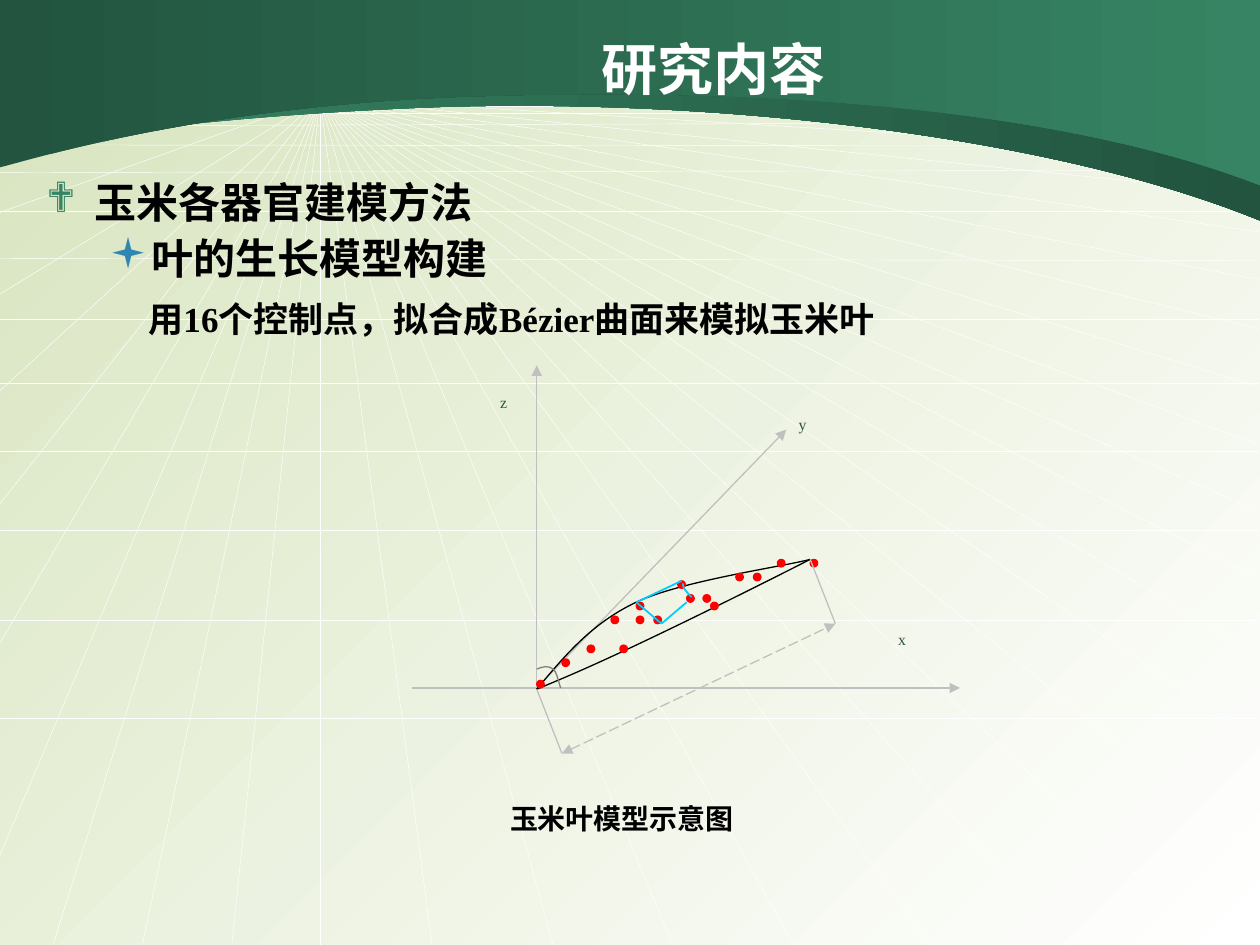
from lxml import etree
from pptx import Presentation
from pptx.dml.color import RGBColor
from pptx.enum.dml import MSO_LINE
from pptx.enum.shapes import MSO_CONNECTOR, MSO_SHAPE
from pptx.enum.text import MSO_ANCHOR, PP_ALIGN
from pptx.oxml.ns import qn
from pptx.util import Inches, Pt

SERIF = "Times New Roman"
DARK_GREEN, GREEN, GREY, RED, CYAN = "22543F", "368463", "C0C0C0", "FF0000", "00CCFF"


def rgb(color):
    return RGBColor.from_string(color)


def fill_gradient(fill, start, end, angle=0):
    fill.gradient()
    fill.gradient_angle = angle
    for stop, color in zip(fill.gradient_stops, (start, end)):
        stop.color.rgb = rgb(color)


def add_line(slide, start, end, color, width=0.75, arrows=(), dash=None):
    """Arrows names the ends that carry a triangle: headEnd, tailEnd."""
    line = slide.shapes.add_connector(
        MSO_CONNECTOR.STRAIGHT, *(Inches(value) for value in (*start, *end)))
    line.line.color.rgb = rgb(color)
    line.line.width = Pt(width)
    if dash:
        line.line.dash_style = dash
    properties = line._element.spPr
    for arrow in arrows:
        etree.SubElement(properties.find(qn("a:ln")), qn(f"a:{arrow}"), type="triangle")
    etree.SubElement(properties, qn("a:effectLst"))


def add_outline(slide, curve, before=(), after=(), closed=False):
    """Draw a chain of cubic curves, with straight sides before and after it."""
    corners = [(Inches(x), Inches(y)) for x, y in (*before, *curve, *after)]
    builder = slide.shapes.build_freeform(*corners[0])
    builder.add_line_segments(corners[1:], close=closed)
    outline = builder.convert_to_shape()
    outline.shadow.inherit = False
    sides = list(outline._element.iter(qn("a:lnTo")))
    bent = sides[len(before):len(before) + len(curve) - 1]
    for first in range(0, len(bent), 3):
        cubic = etree.Element(qn("a:cubicBezTo"))
        bent[first].addprevious(cubic)
        for side in bent[first:first + 3]:
            cubic.append(side[0])
            side.getparent().remove(side)
    return outline


def add_curve(slide, points, color, width=0.75):
    curve = add_outline(slide, points)
    curve.fill.background()
    curve.line.color.rgb = rgb(color)
    curve.line.width = Pt(width)


def add_frame(slide, left, top, width, height, inset=(0.1, 0.05)):
    frame = slide.shapes.add_textbox(*map(Inches, (left, top, width, height))).text_frame
    frame.word_wrap = True
    frame.margin_left = frame.margin_right = Inches(inset[0])
    frame.margin_top = frame.margin_bottom = Inches(inset[1])
    return frame


def write(paragraph, text, size, color="000000", font=SERIF, bold=True):
    run = paragraph.add_run()
    run.text = text
    formats = {"size": Pt(size), "name": font, "bold": bold}
    for name, value in formats.items():
        setattr(run.font, name, value)
    run.font.color.rgb = rgb(color)


def set_bullet(paragraph, indent, hanging, mark=None, color=None):
    properties = paragraph._p.get_or_add_pPr()
    properties.set("marL", str(Inches(indent)))
    properties.set("indent", str(-Inches(hanging)))
    if mark:
        tint = etree.SubElement(properties, qn("a:buClr"))
        etree.SubElement(tint, qn("a:srgbClr"), val=color)
        etree.SubElement(properties, qn("a:buFont"), typeface="Wingdings", charset="2")
        etree.SubElement(properties, qn("a:buChar"), char=mark)
    else:
        etree.SubElement(properties, qn("a:buNone"))


def draw_rays(slide, left, top, right, bottom):
    """Perspective floor: rays from one vanishing point, crossed by level lines."""
    vanishing = (left + 2.55, top + 0.78)
    right_ends = (1, 1.23, 1.54, 1.84, 2.22, 2.61, 3.07, 3.53, 4.06, 4.59, 5.2, 5.89, 6.8)
    bottom_ends = (0.43, 1.14, 1.85, 2.55, 3.44, 4.4, 5.35, 6.31, 7.39, 8.47, 9.61)
    left_ends = (0.78, 0.97, 1.16, 1.69, 2.34, 3.11, 4.01, 5.12, 6.81)
    ends = [(right, top + y) for y in right_ends]
    ends += [(left + x, bottom) for x in bottom_ends]
    ends += [(left, top + y) for y in left_ends]
    for end in ends:
        add_line(slide, vanishing, end, "FFFFFF", 0.25)
    levels = ((0.84, 0.84), (0.9, 0.9), (1, 0.97), (1.15, 1.16), (1.37, 1.35), (1.68, 1.68),
              (2.05, 2.07), (2.53, 2.53), (3.04, 3.04), (3.58, 3.58), (4.21, 4.21),
              (4.92, 4.92), (5.7, 5.7))
    for start, end in levels:
        add_line(slide, (left, top + start), (right, top + end), "FFFFFF", 0.25)


def draw_header(slide, left, top, width):
    lower_edge = ((0, 1.19), (0.12, 1.18), (1.34, 0.93), (3.48, 0.85),
                  (5.62, 0.78), (8.32, 1.06), (width, 1.75))
    upper_edge = ((0, 1.33), (0.12, 1.31), (1.52, 0.85), (3.65, 0.77),
                  (5.78, 0.69), (8.32, 0.81), (width, 1.47))
    for edge, start, end in ((lower_edge, GREEN, DARK_GREEN), (upper_edge, DARK_GREEN, GREEN)):
        band = add_outline(slide, [(left + x, top + y) for x, y in edge],
                           before=[(left, top)], after=[(left + width, top)], closed=True)
        fill_gradient(band.fill, start, end)
        band.line.fill.background()

    title = add_frame(slide, left + 1.63, top + 0.23, 8.08, 0.62, inset=(0, 0))
    title.vertical_anchor = MSO_ANCHOR.MIDDLE
    title.paragraphs[0].alignment = PP_ALIGN.CENTER
    write(title.paragraphs[0], "研究内容", 32, "FFFFFF", "DejaVu Sans")


def write_outline(slide, left, top, width, height):
    frame = add_frame(slide, left, top, width, height)
    items = (
        ("玉米各器官建模方法", 24, 0, 0, (0.38, 0.38, "❖", GREEN)),
        ("叶的生长模型构建", 24, 1, 6, (0.81, 0.31, "▪", "2F86B1")),
        ("用16个控制点，拟合成Bézier曲面来模拟玉米叶", 20, 1, 10.5, (0.81, 0)),
    )
    for number, (text, size, level, gap, bullet) in enumerate(items):
        paragraph = frame.add_paragraph() if number else frame.paragraphs[0]
        paragraph.level = level
        set_bullet(paragraph, *bullet)
        paragraph.line_spacing = 0.9
        if gap:
            paragraph.space_before = Pt(gap)
        write(paragraph, text, size)


def draw_leaf_model(slide, left, top):
    def at(x, y):
        """Place a point given from the origin of the axes."""
        return left + 0.99 + x, top + 2.57 + y

    for start, end in (((-0.99, -0.01), (3.36, -0.01)), ((0, -0.01), (1.98, -2.06)),
                       ((0, -0.01), (0, -2.57))):
        add_line(slide, at(*start), at(*end), GREY, arrows=["tailEnd"])

    tip = (2.17, -1.03)
    upper_edge = ((0, 0), (0.22, -0.26), (0.43, -0.52), (0.79, -0.69),
                  (1.15, -0.86), (1.94, -0.97), tip)
    lower_edge = ((0, 0), (0.22, -0.09), (0.43, -0.18), (0.79, -0.35),
                  (1.15, -0.52), (1.66, -0.77), tip)
    for edge in (upper_edge, lower_edge):
        add_curve(slide, [at(*point) for point in edge], "000000")

    control_points = (
        tip, (0.66, -0.35), (1.38, -0.69), (1.12, -0.86),
        (0.79, -0.69), (1.58, -0.92), (1.91, -1.03), (0.59, -0.58),
        (0.2, -0.24), (1.19, -0.75), (0.79, -0.58), (1.72, -0.92),
        (1.32, -0.75), (0.93, -0.58), (0.4, -0.35), (0, -0.07))
    for point in control_points:
        dot = slide.shapes.add_shape(
            MSO_SHAPE.OVAL, *map(Inches, (*at(*point), 0.06, 0.06)))
        dot.shadow.inherit = False
        dot.fill.solid()
        dot.fill.fore_color.rgb = dot.line.color.rgb = rgb(RED)
        dot.line.width = Pt(0.75)

    for axis, corner in (("x", (2.77, -0.52)), ("y", (1.98, -2.23)), ("z", (-0.39, -2.4))):
        label = add_frame(slide, *at(*corner), 0.39, 0.51)
        write(label.paragraphs[0], axis, 9, "335338", bold=False)

    base_mark, tip_mark = (0.2, 0.51), (2.37, -0.52)
    add_line(slide, at(0, 0), at(*base_mark), GREY)
    add_line(slide, at(*tip), at(*tip_mark), GREY)
    add_line(slide, at(*base_mark), at(*tip_mark), GREY,
             arrows=["headEnd", "tailEnd"], dash=MSO_LINE.LONG_DASH)

    angle_arc = ((0, -0.16), (0.05, -0.18), (0.09, -0.19), (0.13, -0.16),
                 (0.16, -0.14), (0.18, -0.03), (0.19, -0.01))
    add_curve(slide, [at(*point) for point in angle_arc], "808080")

    patch = [at(*point) for point in ((1.15, -0.86), (0.79, -0.69), (0.99, -0.52), (1.19, -0.69))]
    for start, end in zip(patch, patch[1:]):
        add_line(slide, start, end, CYAN, 1)
    patch_side = ((1.16, -0.84), (1.16, -0.84), (1.16, -0.81), (1.17, -0.8),
                  (1.19, -0.77), (1.2, -0.76), (1.23, -0.73))
    add_curve(slide, [at(*point) for point in patch_side], CYAN, 1)

    caption = add_frame(slide, left + 0.68, top + 3.41, 2.2, 0.36)
    write(caption.paragraphs[0], "玉米叶模型示意图", 16)


def main():
    deck = Presentation()
    deck.slide_width, deck.slide_height = Inches(10), Inches(7.5)
    slide = deck.slides.add_slide(deck.slide_layouts[6])
    fill_gradient(slide.background.fill, "D7E4BE", "FFFFFF", 315)
    draw_rays(slide, -0.01, 0, 9.99, 7.5)
    draw_header(slide, -0.01, 0, 10.01)
    write_outline(slide, 0.27, 1.4, 9.33, 1.4)
    draw_leaf_model(slide, 3.27, 2.9)
    deck.save("out.pptx")


if __name__ == "__main__":
    main()
